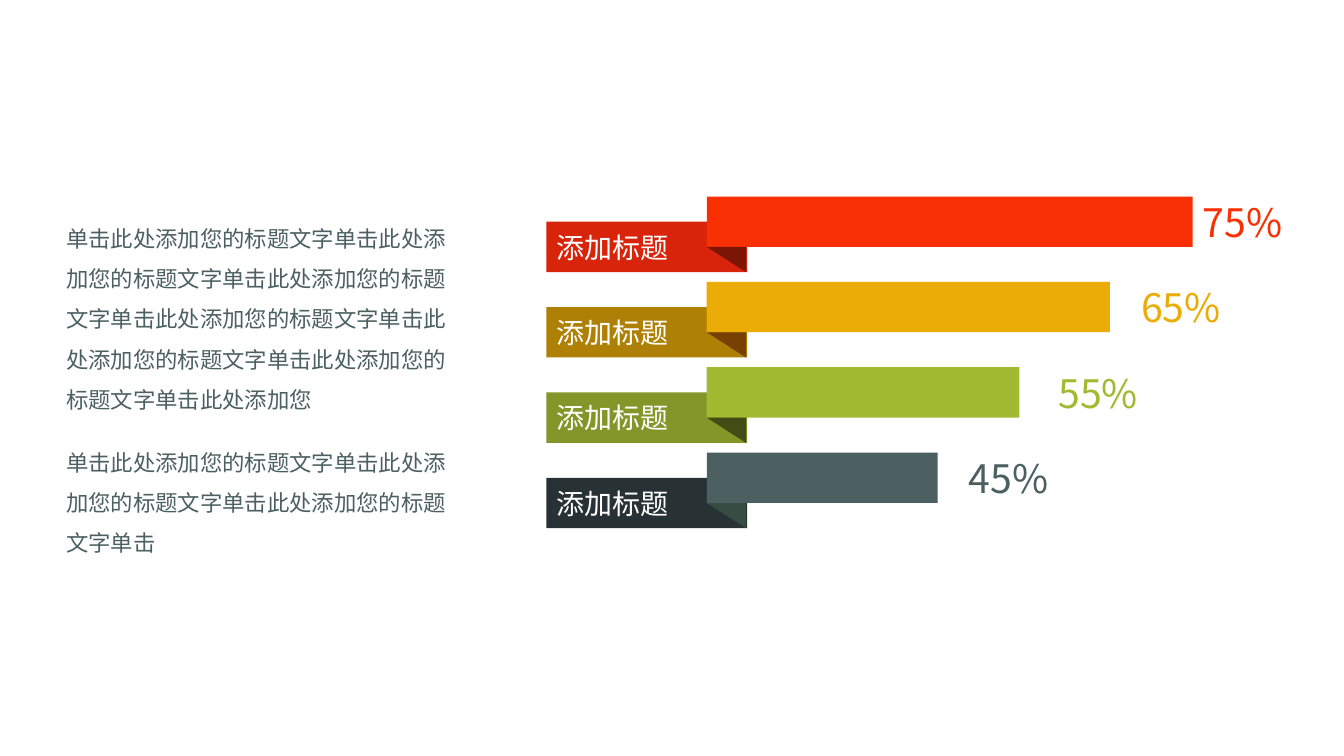
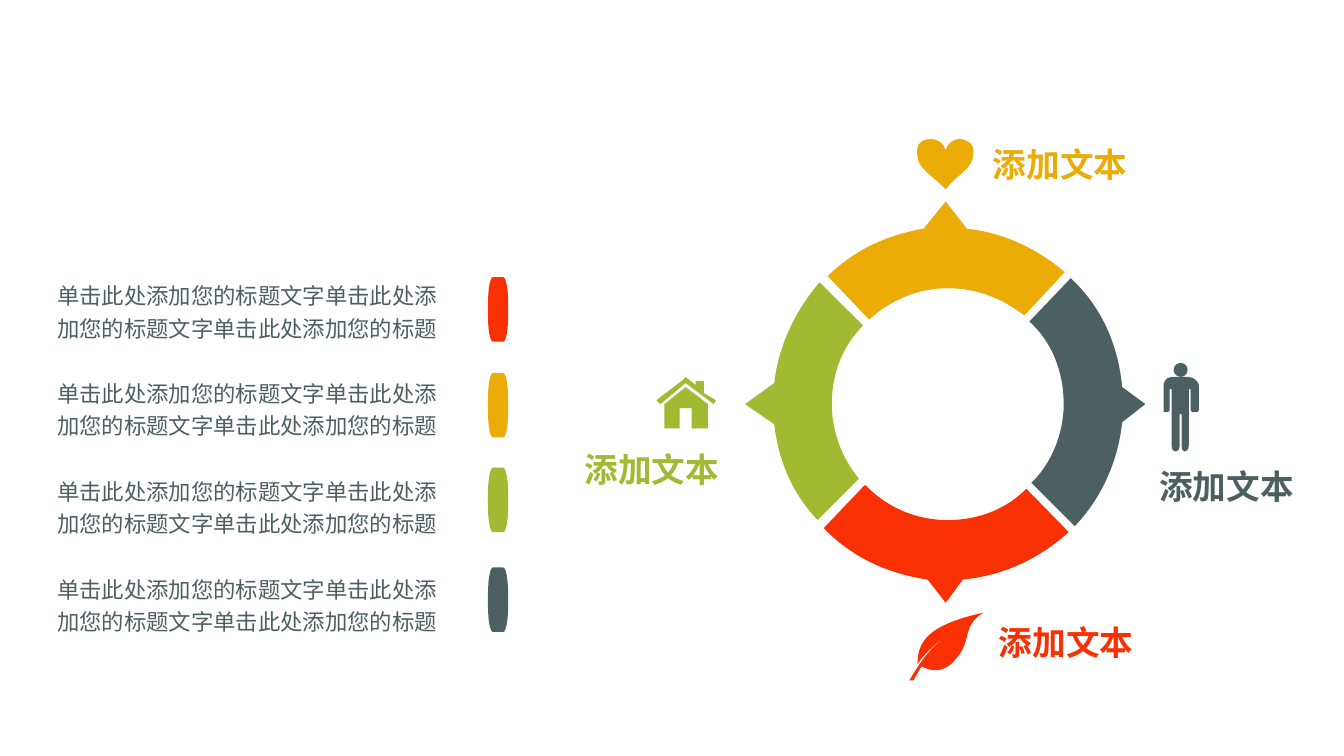
from lxml import etree
from pptx import Presentation
from pptx.dml.color import RGBColor
from pptx.enum.shapes import MSO_SHAPE
from pptx.enum.text import MSO_ANCHOR, PP_ALIGN
from pptx.oxml.ns import qn
from pptx.util import Inches, Pt

RECT = MSO_SHAPE.RECTANGLE
OVAL = MSO_SHAPE.OVAL
TRIANGLE = MSO_SHAPE.ISOSCELES_TRIANGLE
MIDDLE = MSO_ANCHOR.MIDDLE
LEFT = PP_ALIGN.LEFT

FONT = "Noto Sans CJK SC"
RED, AMBER, GREEN, SLATE = "F83003", "EBAC07", "A2B932", "4C6062"
WHITE = "FFFFFF"
PHRASE = "单击此处添加您的标题文字"

BARS = [
    ("75%", RED, "D8240B", "7D1506", 4.82, 11.83),
    ("65%", AMBER, "AE8005", "784002", 4, 11.22),
    ("55%", GREEN, "849629", "434C15", 3.1, 10.4),
    ("45%", SLATE, "283234", "374C43", 2.29, 9.51),
]

RING = [
    (GREEN, [(0.29, 1.8), (0, 2.01), (0.29, 2.21), (0.33, 2.58, 0.48, 2.91, 0.72, 3.16),
             (1.13, 2.75), (0.97, 2.56, 0.86, 2.29, 0.86, 2.01),
             (0.86, 1.7, 0.97, 1.43, 1.17, 1.23), (0.74, 0.8),
             (0.5, 1.08, 0.33, 1.43, 0.29, 1.8)]),
    (RED, [(1.19, 2.81), (0.78, 3.24), (1.05, 3.52, 1.4, 3.69, 1.81, 3.75),
           (1.99, 3.98), (2.16, 3.75), (2.57, 3.71, 2.92, 3.54, 3.21, 3.28),
           (2.79, 2.85), (2.59, 3.05, 2.32, 3.16, 2.01, 3.16),
           (1.69, 3.16, 1.4, 3.03, 1.19, 2.81)]),
    (AMBER, [(1.99, 0), (1.77, 0.27), (1.4, 0.33, 1.07, 0.49, 0.82, 0.74),
             (1.23, 1.17), (1.44, 0.98, 1.71, 0.86, 2.01, 0.86),
             (2.3, 0.86, 2.55, 0.96, 2.77, 1.13), (3.17, 0.7),
             (2.9, 0.47, 2.57, 0.31, 2.2, 0.27)]),
    (SLATE, [(3.74, 1.84), (3.7, 1.41, 3.53, 1.04, 3.23, 0.76), (2.82, 1.19),
             (3.04, 1.39, 3.16, 1.68, 3.16, 2.01), (3.16, 2.3, 3.04, 2.6, 2.84, 2.79),
             (3.27, 3.22), (3.53, 2.95, 3.7, 2.58, 3.74, 2.19), (3.97, 2.01)]),
]
HOUSE_WALLS = [(0.29, 0.1), (0.08, 0.27), (0.08, 0.51), (0.23, 0.51), (0.23, 0.31),
               (0.35, 0.31), (0.35, 0.51), (0.51, 0.51), (0.51, 0.27), (0.41, 0.19)]
HOUSE_ROOF = [(0.47, 0.16), (0.47, 0.04), (0.39, 0.04), (0.39, 0.08), (0.29, 0),
              (0.25, 0.04), (0, 0.23), (0.04, 0.27), (0.29, 0.06), (0.57, 0.27),
              (0.59, 0.23)]
PERSON_BODY = [
    (0.25, 0.14), (0.08, 0.14), (0.02, 0.14, 0, 0.2, 0, 0.22), (0, 0.47),
    (0, 0.49, 0, 0.49, 0.02, 0.49), (0.04, 0.49, 0.06, 0.49, 0.06, 0.47),
    (0.06, 0.26), (0.08, 0.26), (0.08, 0.82), (0.08, 0.86, 0.1, 0.88, 0.12, 0.88),
    (0.14, 0.88, 0.16, 0.86, 0.16, 0.82), (0.16, 0.51), (0.18, 0.51), (0.18, 0.82),
    (0.18, 0.86, 0.19, 0.88, 0.21, 0.88), (0.23, 0.88, 0.25, 0.86, 0.25, 0.82),
    (0.25, 0.26), (0.27, 0.26), (0.27, 0.47), (0.27, 0.49, 0.29, 0.49, 0.31, 0.49),
    (0.33, 0.49, 0.35, 0.49, 0.35, 0.47), (0.35, 0.22),
    (0.35, 0.2, 0.31, 0.14, 0.25, 0.14)]
LEAF = [(0, 0.67), (0.04, 0.67), (0.12, 0.53), (0.12, 0.53, 0.3, 0.65, 0.45, 0.47),
        (0.63, 0.28, 0.51, 0.14, 0.73, 0), (0.18, 0.12, 0.08, 0.29, 0.08, 0.51),
        (0.14, 0.41, 0.28, 0.28, 0.39, 0.22), (0.18, 0.35, 0.06, 0.57, 0, 0.67)]
HEART = [(0.3, 0.11), (0.28, 0.04, 0.22, 0, 0.16, 0), (0.04, 0, 0, 0.07, 0.02, 0.17),
         (0.02, 0.29, 0.18, 0.37, 0.3, 0.5), (0.39, 0.37, 0.57, 0.29, 0.57, 0.17),
         (0.59, 0.07, 0.55, 0.02, 0.45, 0), (0.37, 0, 0.32, 0.04, 0.3, 0.11)]
CAPSULE = [(0.2, 0.38), (0.2, 0.52, 0.18, 0.64, 0.15, 0.64), (0.05, 0.64),
           (0.02, 0.64, 0, 0.52, 0, 0.38), (0, 0.27), (0, 0.12, 0.02, 0, 0.05, 0),
           (0.15, 0), (0.18, 0, 0.2, 0.12, 0.2, 0.27)]


def rgb(color):
    return RGBColor.from_string(color)


def paint(sp, color):
    sp.shadow.inherit = False
    sp.fill.solid()
    sp.fill.fore_color.rgb = rgb(color)
    sp.line.fill.background()
    return sp


def add_block(s, kind, x, y, w, h, color):
    return paint(s.shapes.add_shape(kind, Inches(x), Inches(y), Inches(w), Inches(h)), color)


def write(sp, text, size, color, bold=False, spacing=None):
    tf = sp.text_frame
    tf.word_wrap = True
    p = tf.paragraphs[0]
    p.text = text
    p.alignment = LEFT
    p.line_spacing = spacing
    font = p.font
    font.name, font.size, font.bold = FONT, Pt(size), bold
    font.color.rgb = rgb(color)
    props = p._p.pPr.find(qn("a:defRPr"))
    etree.SubElement(props, qn("a:ea")).set("typeface", FONT)


def add_text(s, x, y, w, h, *style, **options):
    write(s.shapes.add_textbox(Inches(x), Inches(y), Inches(w), Inches(h)), *style, **options)


def add_outline(s, x, y, outline, color):
    start, *steps = outline
    points = [(Inches(step[i]), Inches(step[i + 1]))
              for step in steps for i in range(0, len(step), 2)]
    builder = s.shapes.build_freeform(Inches(start[0]), Inches(start[1]))
    builder.add_line_segments(points, close=True)
    sp = paint(builder.convert_to_shape(Inches(x), Inches(y)), color)
    segments = iter(list(sp._element.iter(qn("a:lnTo"))))
    for step in steps:
        segment = next(segments)
        if len(step) == 6:
            segment.tag = qn("a:cubicBezTo")
            for extra in (next(segments), next(segments)):
                segment.append(extra[0])
                extra.getparent().remove(extra)


def ribbon_bar(s, x, y, bar):
    value, color, tag_color, fold_color, length, value_x = bar
    tag = add_block(s, RECT, x, y + 0.25, 1.99, 0.5, tag_color)
    tag.text_frame.vertical_anchor = MIDDLE
    write(tag, "添加标题", 20, WHITE)
    add_block(s, RECT, x + 1.59, y, length, 0.5, color)
    fold = add_block(s, TRIANGLE, x + 1.59, y + 0.5, 0.39, 0.25, fold_color)
    fold.adjustments[0] = 0
    fold.rotation = 180
    add_text(s, value_x, y - 0.03, 1.22, 0.57, value, 28, color)


def ring(s, x, y):
    for color, outline in RING:
        add_outline(s, x, y, outline, color)


def house(s, x, y, color):
    add_outline(s, x, y, HOUSE_WALLS, color)
    add_outline(s, x, y, HOUSE_ROOF, color)


def person(s, x, y, color):
    add_outline(s, x, y, PERSON_BODY, color)
    add_block(s, OVAL, x + 0.1, y, 0.14, 0.14, color)


def bars_slide(s):
    for i, bar in enumerate(BARS):
        ribbon_bar(s, 5.42, 1.95 + 2.54 * i / 3, bar)
    for y, h, text in ((2.05, 2.12, PHRASE * 6 + PHRASE[:7]),
                       (4.27, 1.31, PHRASE * 3 + PHRASE[:2])):
        add_text(s, 0.56, y, 4.14, h, text, 16, SLATE, spacing=1.5)


def ring_slide(s):
    ring(s, 7.39, 2)
    house(s, 6.51, 3.74, GREEN)
    person(s, 11.54, 3.6, SLATE)
    add_outline(s, 9.02, 6.08, LEAF, RED)
    add_outline(s, 9.08, 1.38, HEART, AMBER)
    for x, y, color in ((9.75, 1.38, AMBER), (11.4, 4.57, SLATE),
                        (9.81, 6.12, RED), (5.7, 4.4, GREEN)):
        add_text(s, x, y, 1.8, 0.5, "添加文本", 24, color, bold=True)
    for i, (y, color) in enumerate(((2.75, RED), (3.7, AMBER), (4.64, GREEN), (5.63, SLATE))):
        add_outline(s, 4.84, y, CAPSULE, color)
        add_text(s, 0.47, 2.7 + 0.97 * i, 4.14, 0.75, PHRASE * 2 + PHRASE[:10], 16, SLATE,
                 spacing=1.2)


def main():
    prs = Presentation()
    prs.slide_width, prs.slide_height = Inches(13.33), Inches(7.5)
    for build in (bars_slide, ring_slide):
        build(prs.slides.add_slide(prs.slide_layouts[6]))
    prs.save("out.pptx")


if __name__ == "__main__":
    main()
